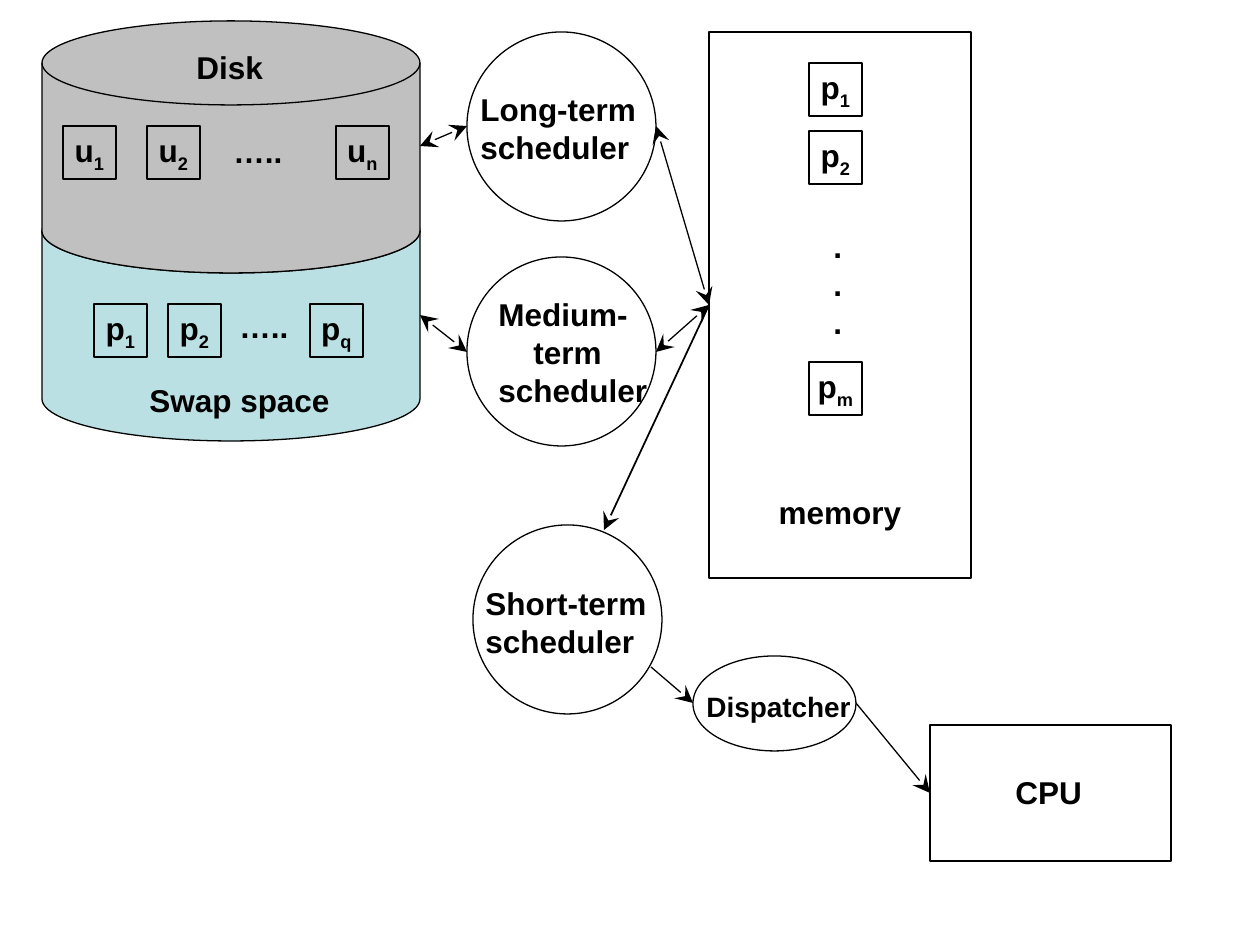
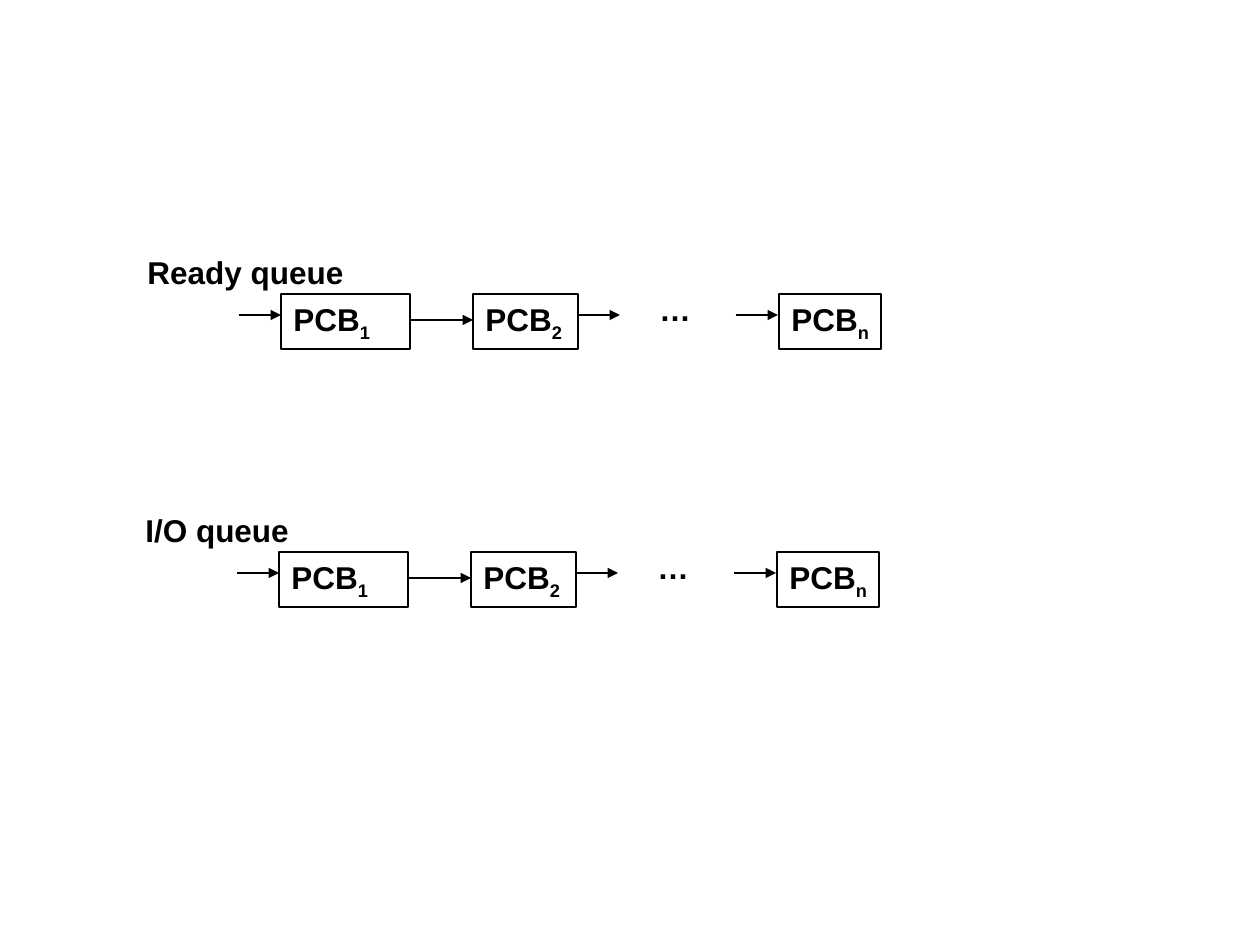
from lxml.etree import SubElement
from pptx import Presentation
from pptx.dml.color import RGBColor
from pptx.enum.shapes import MSO_CONNECTOR as Connector, MSO_SHAPE as Preset
from pptx.enum.text import MSO_ANCHOR as Anchor, PP_ALIGN as Align
from pptx.oxml.ns import qn
from pptx.util import Pt

PX_PER_INCH = 126
EMU_PER_PX = 914400 / PX_PER_INCH
SLIDE_WIDTH, SLIDE_HEIGHT = 1260, 945

BLACK = RGBColor(0x00, 0x00, 0x00)
DISK_GRAY = RGBColor(0xC0, 0xC0, 0xC0)
SWAP_BLUE = RGBColor(0xBB, 0xE0, 0xE3)

FONT = {"name": "Arial", "size": Pt(18), "bold": True}
CENTERED = {"vertical_anchor": Anchor.MIDDLE, "word_wrap": False}
LARGE_STEALTH = {"type": "stealth", "w": "lg", "len": "lg"}
TRIANGLE = {"type": "triangle", "w": "med", "len": "med"}
SQUARE = 53
CIRCLE = 189
LABEL_HEIGHT = 50


def px(*lengths):
    return [round(length * EMU_PER_PX) for length in lengths]


def apply_format(target, values):
    for name, value in values.items():
        setattr(target, name, value)


def write_text(frame, text, align=Align.LEFT, **font):
    for index, line in enumerate(text.split("\n")):
        paragraph = frame.paragraphs[0] if index == 0 else frame.add_paragraph()
        paragraph.alignment = align
        base, _, subscript = line.partition("_")
        for part in filter(None, (base, subscript)):
            run = paragraph.add_run()
            run.text = part
            apply_format(run.font, {**FONT, **font})
            run.font.color.rgb = BLACK
        if subscript:
            run.font._element.set("baseline", "-25000")


def add_label(slide, text, left, top, width, height=LABEL_HEIGHT, **font):
    label = slide.shapes.add_textbox(*px(left, top, width, height))
    label.text_frame.word_wrap = True
    write_text(label.text_frame, text, **font)
    return label


def add_outline(slide, preset, left, top, width, height, fill=None):
    shape = slide.shapes.add_shape(preset, *px(left, top, width, height))
    shape.shadow.inherit = False
    if fill is None:
        shape.fill.background()
    else:
        shape.fill.solid()
        shape.fill.fore_color.rgb = fill
    shape.line.color.rgb = BLACK
    shape.line.width = Pt(0.75)
    return shape


def add_process(slide, name, left, top):
    square = add_outline(slide, Preset.RECTANGLE, left, top, SQUARE, SQUARE)
    apply_format(square.text_frame, CENTERED)
    write_text(square.text_frame, name, Align.CENTER)


def add_arrow(slide, start, end, tip=LARGE_STEALTH, both=False, weight=0.75):
    arrow = slide.shapes.add_connector(Connector.STRAIGHT, *px(*start, *end))
    arrow.line.color.rgb = BLACK
    arrow.line.width = Pt(weight)
    line = arrow.line._get_or_add_ln()
    for end_name in ("a:headEnd", "a:tailEnd") if both else ("a:tailEnd",):
        SubElement(line, qn(end_name), tip)
    SubElement(arrow._element.spPr, qn("a:effectLst"))


def add_storage(slide):
    for top, fill in ((189, SWAP_BLUE), (21, DISK_GRAY)):
        add_outline(slide, Preset.FLOWCHART_MAGNETIC_DISK, 42, top, 378, 252, fill)
    add_label(slide, "Disk", 184, 42, 120)
    add_label(slide, "Swap space", 137, 375, 240)
    for name, left in (("u_1", 63), ("u_2", 147), ("u_n", 336)):
        add_process(slide, name, left, 126)
    add_label(slide, "…..", 221, 126, 100)
    for name, left in (("p_1", 94), ("p_2", 168), ("p_q", 310)):
        add_process(slide, name, left, 304)
    add_label(slide, "…..", 227, 301, 100)


def add_memory(slide):
    memory = add_outline(slide, Preset.RECTANGLE, 709, 32, 262, 546)
    apply_format(memory.text_frame, {
        "vertical_anchor": Anchor.BOTTOM, "margin_bottom": px(47)[0], "word_wrap": False})
    write_text(memory.text_frame, "memory", Align.CENTER)
    for name, top in (("p_1", 63), ("p_2", 131), ("p_m", 362)):
        add_process(slide, name, 809, top)
    add_label(slide, ".\n.\n.", 821, 221, 60, 126)


def add_schedulers(slide):
    add_label(slide, "Long-term\nscheduler", 468, 84, 220, 88)
    medium = add_label(slide, "Medium-\nterm\nscheduler", 486, 289, 210, 126)
    indent, = px(35)
    medium.text_frame.paragraphs[1]._p.get_or_add_pPr().set("marL", str(indent))
    add_label(slide, "Short-term\nscheduler", 473, 578, 220, 88)
    for left, top in ((467, 32), (467, 257), (473, 525)):
        add_outline(slide, Preset.OVAL, left, top, CIRCLE, CIRCLE)


def add_processor(slide):
    add_label(slide, "Dispatcher", 694, 683, 210, 47, size=Pt(16))
    add_outline(slide, Preset.OVAL, 693, 656, 163, 95)
    add_outline(slide, Preset.RECTANGLE, 930, 725, 241, 136)
    add_label(slide, "CPU", 1003, 767, 120)


def build_scheduling(slide):
    add_storage(slide)
    add_schedulers(slide)
    add_memory(slide)
    add_processor(slide)
    memory_port = (709, 305)
    for start, end in (
        ((420, 146), (467, 126)),
        ((656, 126), memory_port),
        ((420, 315), (467, 352)),
        ((656, 352), memory_port),
    ):
        add_arrow(slide, start, end, both=True)
    add_arrow(slide, memory_port, (604, 530), weight=1)
    add_arrow(slide, (651, 667), (693, 703))
    add_arrow(slide, (856, 703), (930, 793))


def add_queue(slide, title, left, top):
    add_label(slide, title, left, top, 260)
    add_label(slide, "…", left + 512, top + 37, 80)
    for name, offset, width in (("PCB_1", 146, 129), ("PCB_2", 338, 105), ("PCB_n", 644, 102)):
        block = add_outline(slide, Preset.RECTANGLE, left + offset, top + 47, width, 55)
        apply_format(block.text_frame, {
            "vertical_anchor": Anchor.TOP, "word_wrap": name != "PCB_n"})
        write_text(block.text_frame, name)
    for start, end, drop in ((104, 146, 68), (275, 338, 73), (443, 485, 68), (601, 643, 68)):
        add_arrow(slide, (left + start, top + drop), (left + end, top + drop), TRIANGLE)


def build_queues(slide):
    add_queue(slide, "Ready queue", 135, 247)
    add_queue(slide, "I/O queue", 133, 505)


def main():
    presentation = Presentation()
    width, height = px(SLIDE_WIDTH, SLIDE_HEIGHT)
    apply_format(presentation, {"slide_width": width, "slide_height": height})
    blank = presentation.slide_layouts[6]
    for build in (build_scheduling, build_queues):
        build(presentation.slides.add_slide(blank))
    presentation.save("out.pptx")


if __name__ == "__main__":
    main()
